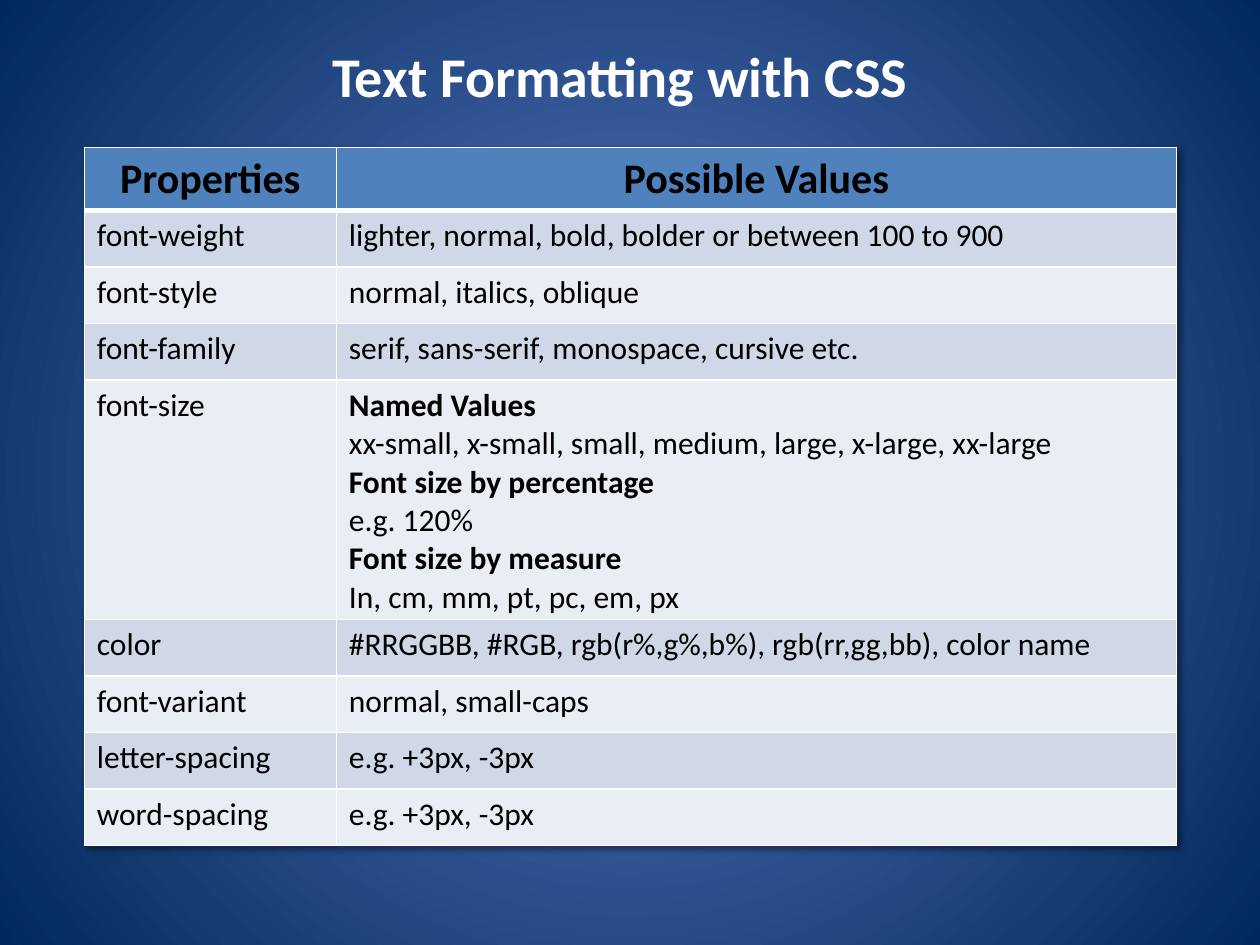
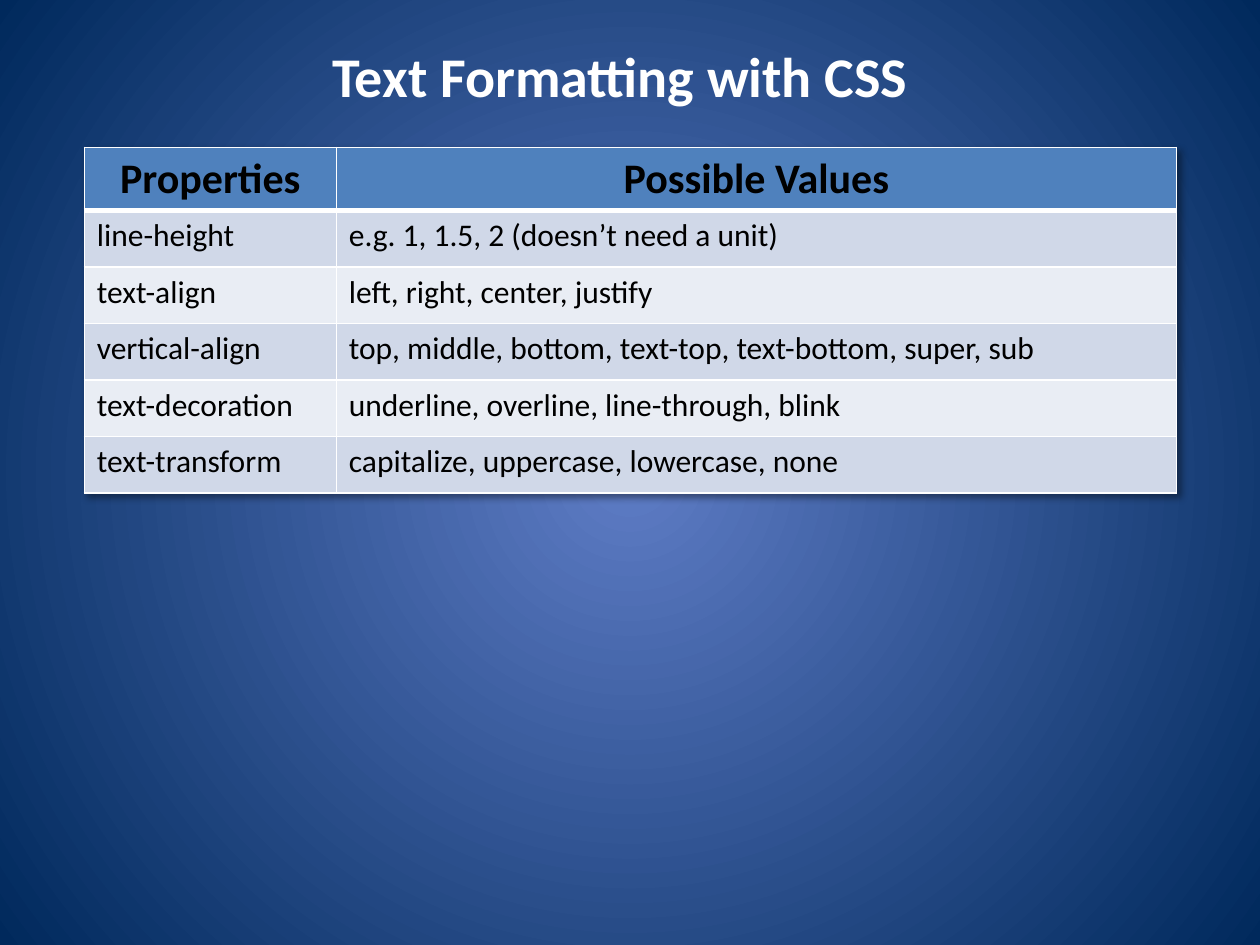
from pptx import Presentation
from pptx.dml.color import RGBColor
from pptx.enum.text import MSO_ANCHOR, MSO_AUTO_SIZE, PP_ALIGN
from pptx.oxml import parse_xml
from pptx.oxml.ns import nsdecls, qn
from pptx.util import Cm, Pt

WHITE = RGBColor(0xFF, 0xFF, 0xFF)
BLACK = RGBColor(0x00, 0x00, 0x00)
GLOW = RGBColor(0x5E, 0x7C, 0xC5)
NAVY = RGBColor(0x00, 0x29, 0x5C)
HEADER_BLUE = RGBColor(0x4F, 0x81, 0xBD)
BANDS = (RGBColor(0xD0, 0xD8, 0xE8), RGBColor(0xE9, 0xED, 0xF4))
FONT = "Calibri"

TITLE = "Text Formatting with CSS"
TITLE_BOX = (Cm(6.15), Cm(0.71), Cm(12.7), Cm(1.63))
TABLE_LEFT, TABLE_TOP = Cm(1.7), Cm(2.97)
COLUMN_WIDTHS = (Cm(5.08), Cm(16.94))
HEADER_HEIGHT, ROW_HEIGHT = Cm(1.27), Cm(1.14)
LINE_HEIGHT, CELL_PADDING = Cm(0.76), Cm(0.25)
HEADINGS = ("Properties", "Possible Values")
BOLD_LINES = {"Named Values", "Font size by percentage", "Font size by measure"}

FONT_PROPERTIES = [
    ("font-weight", "lighter, normal, bold, bolder or between 100 to 900"),
    ("font-style", "normal, italics, oblique"),
    ("font-family", "serif, sans-serif, monospace, cursive etc."),
    ("font-size", "Named Values\n"
                  "xx-small, x-small, small, medium, large, x-large, xx-large\n"
                  "Font size by percentage\n"
                  "e.g. 120%\n"
                  "Font size by measure\n"
                  "In, cm, mm, pt, pc, em, px"),
    ("color", "#RRGGBB, #RGB, rgb(r%,g%,b%), rgb(rr,gg,bb), color name"),
    ("font-variant", "normal, small-caps"),
    ("letter-spacing", "e.g. +3px, -3px"),
    ("word-spacing", "e.g. +3px, -3px"),
]
TEXT_PROPERTIES = [
    ("line-height", "e.g. 1, 1.5, 2 (doesn’t need a unit)"),
    ("text-align", "left, right, center, justify"),
    ("vertical-align", "top, middle, bottom, text-top, text-bottom, super, sub"),
    ("text-decoration", "underline, overline, line-through, blink"),
    ("text-transform", "capitalize, uppercase, lowercase, none"),
]


def style_paragraph(paragraph, size, color, bold, align):
    """Give a paragraph its font and alignment."""
    paragraph.alignment = align
    font = paragraph.font
    font.name, font.size, font.bold = FONT, Pt(size), bold
    font.color.rgb = color


def set_background(master):
    """Fill the master with a round gradient that darkens outwards."""
    fill = master.background.fill
    fill.gradient()
    for stop, color, position in zip(fill.gradient_stops, (GLOW, NAVY), (0, 1)):
        stop.color.rgb = color
        stop.position = position
    gradient = master.element.find(".//" + qn("p:bgPr") + "/" + qn("a:gradFill"))
    gradient.remove(gradient.find(qn("a:lin")))
    gradient.append(parse_xml(
        f'<a:path {nsdecls("a")} path="circle">'
        '<a:fillToRect l="50000" t="50000" r="50000" b="50000"/></a:path>'))


def place_title(page, box):
    """Move and format the title placeholder."""
    title = page.shapes.title
    title.left, title.top, title.width, title.height = box
    frame = title.text_frame
    frame.text = TITLE
    frame.auto_size = MSO_AUTO_SIZE.SHAPE_TO_FIT_TEXT
    frame.vertical_anchor = MSO_ANCHOR.TOP
    style_paragraph(frame.paragraphs[0], 32, WHITE, True, PP_ALIGN.CENTER)


def set_borders(cell, top, bottom):
    """Draw white borders of the given top and bottom widths around a cell."""
    properties = cell._tc.get_or_add_tcPr()
    for side, width in (("L", 1), ("R", 1), ("T", top), ("B", bottom)):
        properties.append(parse_xml(
            f'<a:ln{side} {nsdecls("a")} w="{Pt(width)}"><a:solidFill>'
            f'<a:srgbClr val="{WHITE}"/></a:solidFill></a:ln{side}>'))


def add_shadow(table):
    """Cast a soft shadow to the lower right of a table."""
    table._tbl.tblPr.insert(0, parse_xml(
        f'<a:effectLst {nsdecls("a")}><a:outerShdw blurRad="50800" dist="38100" '
        'dir="2700000" algn="tl" rotWithShape="0"><a:srgbClr val="000000">'
        '<a:alpha val="40000"/></a:srgbClr></a:outerShdw></a:effectLst>'))


def fill_cell(cell, text, row):
    """Write, colour and border one cell according to its row."""
    is_header = row == 0
    set_borders(cell, 3 if row == 1 else 1, 3 if is_header else 1)
    cell.fill.solid()
    cell.fill.fore_color.rgb = HEADER_BLUE if is_header else BANDS[(row - 1) % 2]
    cell.text = text
    for paragraph in cell.text_frame.paragraphs:
        if is_header:
            style_paragraph(paragraph, 24, BLACK, True, PP_ALIGN.CENTER)
        else:
            bold = paragraph.text in BOLD_LINES
            style_paragraph(paragraph, 18, BLACK, bold, PP_ALIGN.LEFT)


def place_table(page, left, top, entries):
    """Add a table of properties and their values below a header row."""
    rows = [HEADINGS, *entries]
    heights = [HEADER_HEIGHT] + [
        max(ROW_HEIGHT, CELL_PADDING + LINE_HEIGHT * len(values.split("\n")))
        for _, values in entries]
    table = page.shapes.add_table(
        len(rows), len(HEADINGS), left, top, sum(COLUMN_WIDTHS), sum(heights)).table
    table.horz_banding = False
    add_shadow(table)
    for column, width in zip(table.columns, COLUMN_WIDTHS):
        column.width = width
    for row, (texts, height) in enumerate(zip(rows, heights)):
        table.rows[row].height = height
        for column, text in enumerate(texts):
            fill_cell(table.cell(row, column), text, row)


def add_property_page(deck, entries):
    """Add a titled slide with one table of properties."""
    page = deck.slides.add_slide(deck.slide_layouts.get_by_name("Title Only"))
    place_title(page, TITLE_BOX)
    place_table(page, TABLE_LEFT, TABLE_TOP, entries)


def main():
    """Build and save the deck."""
    deck = Presentation()
    deck.slide_width, deck.slide_height = Cm(25.4), Cm(19.05)
    set_background(deck.slide_master)
    for entries in (FONT_PROPERTIES, TEXT_PROPERTIES):
        add_property_page(deck, entries)
    deck.save("out.pptx")


main()
